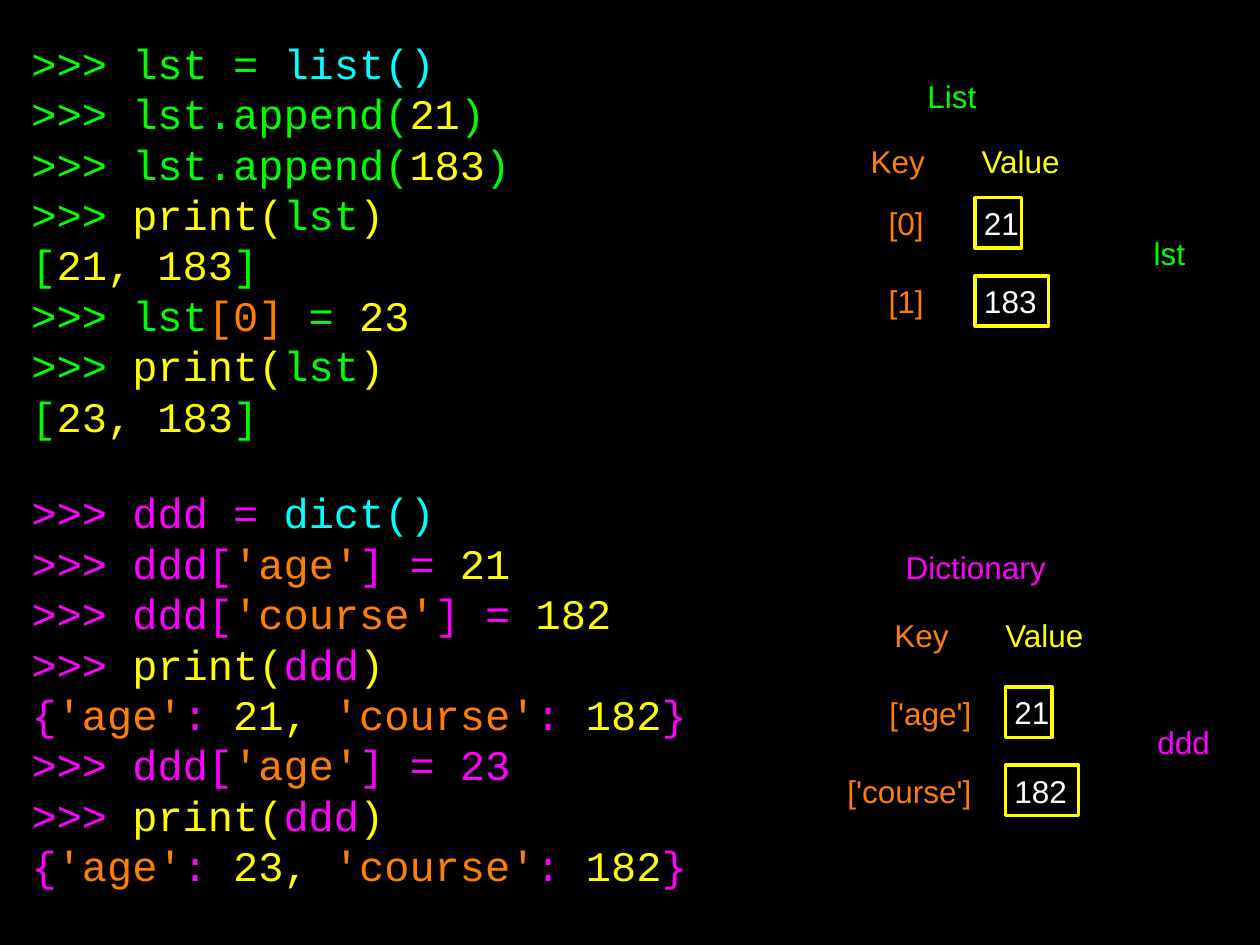
from pptx import Presentation
from pptx.dml.color import RGBColor
from pptx.enum import shapes, text
from pptx.util import Pt

BLACK = RGBColor(0, 0, 0)
WHITE = RGBColor(255, 255, 255)
GREEN = RGBColor(0, 255, 0)
CYAN = RGBColor(0, 255, 255)
YELLOW = RGBColor(255, 255, 0)
ORANGE = RGBColor(255, 127, 0)
PINK = RGBColor(255, 0, 255)
LEFT, MID, RIGHT = text.PP_ALIGN.LEFT, text.PP_ALIGN.CENTER, text.PP_ALIGN.RIGHT

LIST = [
    [(">>> lst = ", GREEN), ("list()", CYAN)],
    [(">>> lst.append(", GREEN), ("21", YELLOW), (")", GREEN)],
    [(">>> lst.append(", GREEN), ("183", YELLOW), (")", GREEN)],
    [(">>> ", GREEN), ("print(", YELLOW), ("lst", GREEN), (")", YELLOW)],
    [("[", GREEN), ("21, 183", YELLOW), ("]", GREEN)],
    [(">>> lst", GREEN), ("[0]", ORANGE), (" = ", GREEN), ("23", YELLOW)],
    [(">>> ", GREEN), ("print(", YELLOW), ("lst", GREEN), (")", YELLOW)],
    [("[", GREEN), ("23, 183", YELLOW), ("]", GREEN)],
]


def pairs(age):
    """Return the printed dictionary line for one age."""
    return [("{", PINK), ("'age'", ORANGE), (": ", PINK), (age + ", ", YELLOW),
            ("'course'", ORANGE), (": ", PINK), ("182", YELLOW), ("}", PINK)]


DICT = [
    [(">>> ddd = ", PINK), ("dict()", CYAN)],
    [(">>> ddd[", PINK), ("'age'", ORANGE), ("] = ", PINK), ("21", YELLOW)],
    [(">>> ddd[", PINK), ("'course'", ORANGE), ("] = ", PINK), ("182", YELLOW)],
    [(">>> ", PINK), ("print(", YELLOW), ("ddd", PINK), (")", YELLOW)],
    pairs("21"),
    [(">>> ddd[", PINK), ("'age'", ORANGE), ("] = 23", PINK)],
    [(">>> ", PINK), ("print(", YELLOW), ("ddd", PINK), (")", YELLOW)],
    pairs("23"),
]


def setup(shape, inset=0):
    """Give a shape's text frame its margins and anchor, and return it."""
    frame = shape.text_frame
    frame.margin_left = Pt(inset)
    frame.margin_right = frame.margin_top = frame.margin_bottom = 0
    frame.vertical_anchor = text.MSO_ANCHOR.MIDDLE
    frame.word_wrap = True
    return frame


def write(frame, words, color, align):
    """Write one Arial line in a frame."""
    para = frame.paragraphs[0]
    para.text = words
    para.alignment = align
    para.font.name = "Arial"
    para.font.size = Pt(18)
    para.font.color.rgb = color


def label(slide, words, color, x, y, width, height=27.4, align=MID):
    """Place a label centred on height y, with x its middle or right edge."""
    left = x - width if align == RIGHT else x - width / 2
    box = slide.shapes.add_textbox(Pt(left), Pt(y - height / 2), Pt(width), Pt(height))
    write(setup(box), words, color, align)


def cell(slide, words, x, y):
    """Draw an outlined value whose left edge is x, centred on height y."""
    width, height = (26.6 if len(words) == 2 else 41.8), 28.8
    box = slide.shapes.add_shape(shapes.MSO_SHAPE.RECTANGLE, Pt(x),
                                 Pt(y - height / 2), Pt(width), Pt(height))
    box.shadow.inherit = False
    box.fill.background()
    box.line.color.rgb = YELLOW
    box.line.width = Pt(2)
    write(setup(box, 5), words, WHITE, LEFT)


def code(slide, lines, left, top, width, height):
    """Place a block of coloured code in its box."""
    box = slide.shapes.add_textbox(Pt(left), Pt(top), Pt(width), Pt(height))
    frame = setup(box)
    for i, line in enumerate(lines):
        para = frame.paragraphs[0] if i == 0 else frame.add_paragraph()
        para.line_spacing = Pt(28.8)
        para.font.name = "Courier New"
        para.font.size = Pt(24)
        for words, color in line:
            run = para.add_run()
            run.text = words
            run.font.color.rgb = color


def panel(slide, left, top, title, name, color, rows, edge, gap, head, first, spot):
    """Draw a key and value panel; offsets run from its left and top."""
    label(slide, title, color, left + 48.5, top + 17.3, 117, 34.6)
    label(slide, "Key", ORANGE, left + 17.6, top + head, 35.3)
    label(slide, "Value", YELLOW, left + 87.8, top + head, 49)
    for i, (key, value) in enumerate(rows):
        y = top + first + i * 44.6
        label(slide, key, ORANGE, left + edge, y, 82, align=RIGHT)
        cell(slide, value, left + edge + gap, y)
    label(slide, name, color, left + spot, top + first + 17, 44, 34.6)


def main():
    """Build the slide and save it."""
    deck = Presentation()
    deck.slide_width, deck.slide_height = Pt(720), Pt(540)
    slide = deck.slides.add_slide(deck.slide_layouts[6])
    slide.background.fill.solid()
    slide.background.fill.fore_color.rgb = BLACK
    code(slide, LIST, 18, 20.9, 364.3, 231.1)
    code(slide, DICT, 18, 267.8, 414, 251.3)
    panel(slide, 495.4, 37.4, "List", "lst", GREEN,
          [("[0]", "21"), ("[1]", "183")], 32.4, 29.5, 54.8, 90, 172.8)
    panel(slide, 509, 306.7, "Dictionary", "ddd", PINK,
          [("['age']", "21"), ("['course']", "182")], 46.1, 19.5, 56.2, 100.4, 167.4)
    deck.save("out.pptx")


if __name__ == "__main__":
    main()
